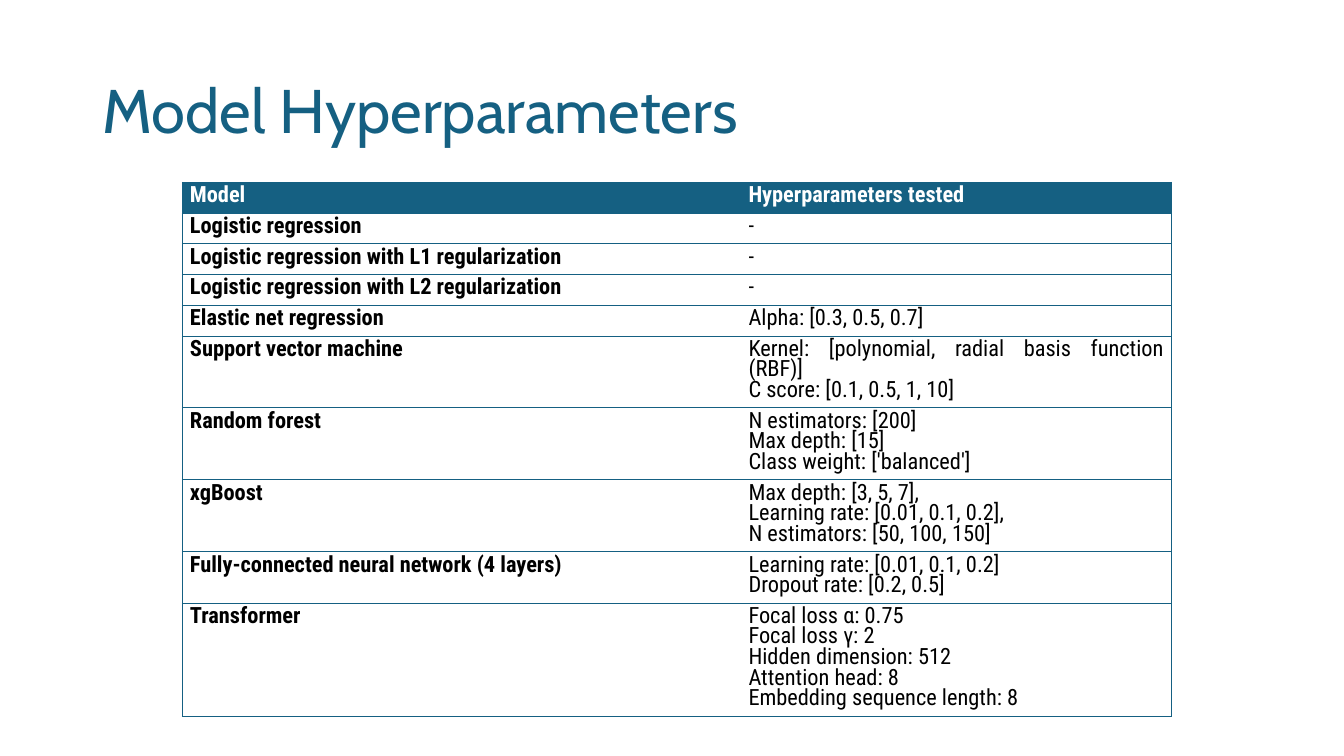
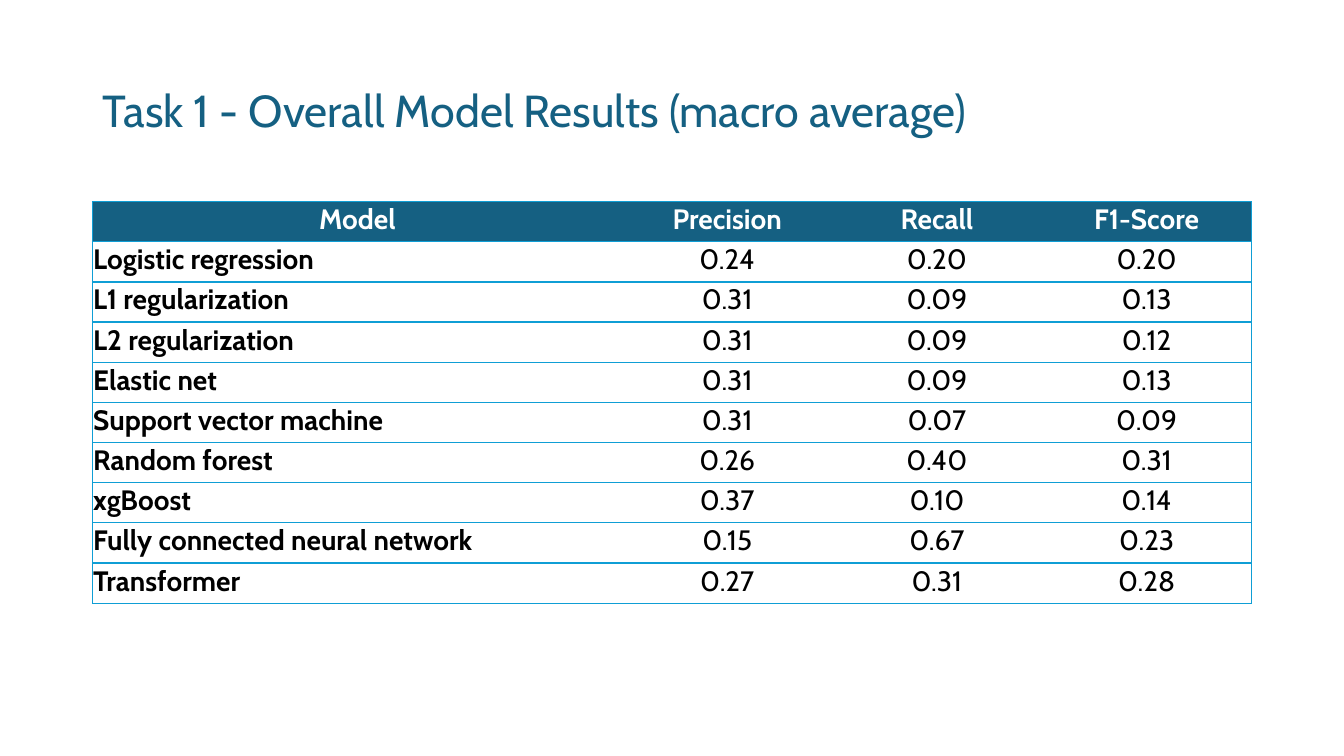
from lxml.etree import SubElement
from pptx import Presentation
from pptx.dml.color import RGBColor
from pptx.enum.text import MSO_ANCHOR, PP_ALIGN
from pptx.oxml.ns import qn
from pptx.util import Pt

NAVY, SKY, WHITE, BLACK = "156082", "0F9ED5", "FFFFFF", "000000"
PLAIN = "{2D5ABB26-0587-4C30-8999-92F81FD0307C}"

TESTS = [
    ("Model", "Hyperparameters tested"),
    ("Logistic regression", "-"),
    ("Logistic regression with L1 regularization", "-"),
    ("Logistic regression with L2 regularization", "-"),
    ("Elastic net regression", "Alpha: [0.3, 0.5, 0.7]"),
    ("Support vector machine",
     "Kernel: [polynomial, radial basis function (RBF)]\nC score: [0.1, 0.5, 1, 10]"),
    ("Random forest",
     "N estimators: [200]\nMax depth: [15]\nClass weight: ['balanced']"),
    ("xgBoost",
     "Max depth: [3, 5, 7],\nLearning rate: [0.01, 0.1, 0.2],\nN estimators: [50, 100, 150]"),
    ("Fully-connected neural network (4 layers)",
     "Learning rate: [0.01, 0.1, 0.2]\nDropout rate: [0.2, 0.5]"),
    ("Transformer",
     "Focal loss α: 0.75\nFocal loss γ: 2\nHidden dimension: 512\n"
     "Attention head: 8\nEmbedding sequence length: 8"),
]
SCORES = [
    ("Model", "Precision", "Recall", "F1-Score"),
    ("Logistic regression", "0.24", "0.20", "0.20"),
    ("L1 regularization", "0.31", "0.09", "0.13"),
    ("L2 regularization", "0.31", "0.09", "0.12"),
    ("Elastic net", "0.31", "0.09", "0.13"),
    ("Support vector machine", "0.31", "0.07", "0.09"),
    ("Random forest", "0.26", "0.40", "0.31"),
    ("xgBoost", "0.37", "0.10", "0.14"),
    ("Fully connected neural network", "0.15", "0.67", "0.23"),
    ("Transformer", "0.27", "0.31", "0.28"),
]


def paint(code):
    return RGBColor.from_string(code)


class Deck:
    """Holds the shared style and the current slide."""

    def __init__(self):
        self.prs = Presentation()
        self.prs.slide_width, self.prs.slide_height = Pt(960), Pt(540)
        self.slide = None

    def title(self, text, size):
        self.slide = self.prs.slides.add_slide(self.prs.slide_layouts[5])
        head = self.slide.shapes.title
        head.left, head.top, head.width, head.height = Pt(66), Pt(28.75), Pt(828), Pt(104.4)
        frame = head.text_frame
        frame.text = text
        frame.vertical_anchor = MSO_ANCHOR.MIDDLE
        para = frame.paragraphs[0]
        para.alignment, para.line_spacing = PP_ALIGN.LEFT, 0.9
        self.style(para.font, "Cabin", size, NAVY)

    def style(self, font, name, size, code, bold=False):
        font.name, font.size, font.bold = name, Pt(size), bold
        font.color.rgb = paint(code)

    def edge(self, cell, side, code, width):
        line = SubElement(cell._tc.get_or_add_tcPr(), qn(f"a:ln{side}"), w=str(Pt(width)))
        if code:
            fill = SubElement(line, qn("a:solidFill"))
            SubElement(fill, qn("a:srgbClr"), val=code)
        else:
            SubElement(line, qn("a:noFill"))

    def table(self, data, left, top, cols, rows, font, size, rule, width,
              pad, align, lead=None, anchor=MSO_ANCHOR.TOP):
        frame = self.slide.shapes.add_table(
            len(data), len(cols), Pt(left), Pt(top), Pt(sum(cols)), Pt(sum(rows)))
        grid = frame.table
        grid.horz_banding = False
        grid._tbl.tblPr.find(qn("a:tableStyleId")).text = PLAIN
        for col, wide in zip(grid.columns, cols):
            col.width = Pt(wide)
        for r, (row, high) in enumerate(zip(grid.rows, rows)):
            row.height = Pt(high)
            for c, cell in enumerate(row.cells):
                self.edge(cell, "L", rule if c == 0 else None, width)
                self.edge(cell, "R", rule if c == len(cols) - 1 else None, width)
                self.edge(cell, "T", rule, width)
                self.edge(cell, "B", rule, width)
                cell.fill.solid()
                cell.fill.fore_color.rgb = paint(WHITE if r else NAVY)
                cell.vertical_anchor = anchor
                cell.margin_left, cell.margin_top, cell.margin_right, cell.margin_bottom = map(Pt, pad)
                cell.text = data[r][c]
                for para in cell.text_frame.paragraphs:
                    para.alignment = PP_ALIGN.LEFT if r and not c else align
                    if lead:
                        para.line_spacing = Pt(lead)
                    self.style(para.font, font, size, BLACK if r else WHITE, not (r and c))

    def save(self):
        self.prs.save("out.pptx")


def main():
    deck = Deck()
    deck.title("Model Hyperparameters", 44)
    lead = 14.7
    lines = [1, 1, 1, 1, 1, 3, 3, 3, 2, 5]
    deck.table(TESTS, 130.3, 130.3, [399, 307.4], [lead * n + 7.2 for n in lines],
               "Roboto Condensed", 16, NAVY, 0.75, (5.4, 3.6, 5.4, 3.6),
               PP_ALIGN.JUSTIFY, lead)
    deck.title("Task 1 - Overall Model Results (macro average)", 32)
    deck.table(SCORES, 66, 144, [378.6] + [149.8] * 3, [28.7] * len(SCORES),
               "Cabin", 20, SKY, 1, (0.6, 0.6, 0.6, 3.6),
               PP_ALIGN.CENTER, anchor=MSO_ANCHOR.BOTTOM)
    deck.save()


if __name__ == "__main__":
    main()
